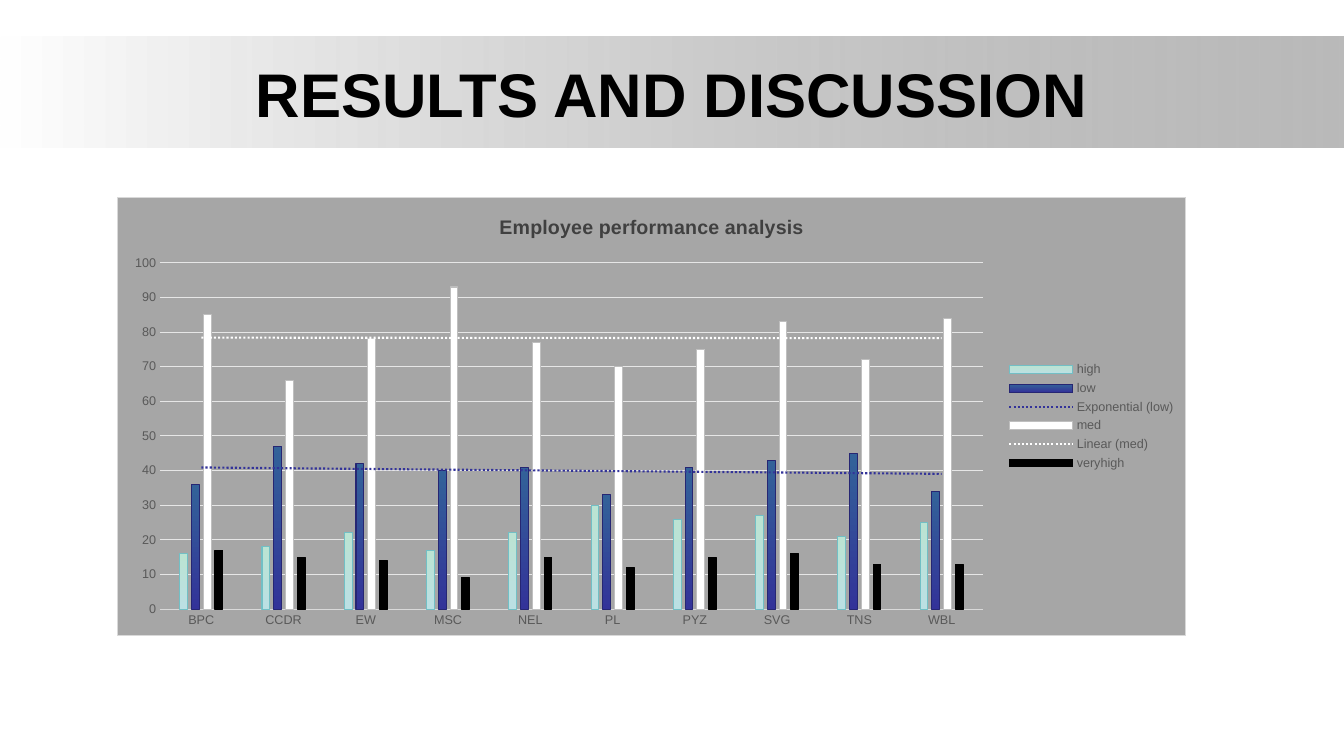
from dataclasses import dataclass
from typing import Optional

from lxml import etree
from pptx import Presentation
from pptx.chart.chart import Chart
from pptx.chart.data import CategoryChartData
from pptx.dml.color import RGBColor
from pptx.dml.fill import FillFormat
from pptx.dml.line import LineFormat
from pptx.enum.chart import XL_CHART_TYPE, XL_LEGEND_POSITION, XL_TICK_MARK
from pptx.enum.shapes import MSO_SHAPE
from pptx.enum.text import MSO_ANCHOR, PP_ALIGN
from pptx.oxml import parse_xml
from pptx.oxml.ns import nsdecls, qn
from pptx.slide import Slide
from pptx.text.text import Font
from pptx.util import Pt

COLUMNS = XL_CHART_TYPE.COLUMN_CLUSTERED
LEGEND_RIGHT = XL_LEGEND_POSITION.RIGHT
NO_TICK = XL_TICK_MARK.NONE
RECTANGLE = MSO_SHAPE.RECTANGLE
MIDDLE = MSO_ANCHOR.MIDDLE
CENTER = PP_ALIGN.CENTER

FONT_NAME = "Arial"
HAIRLINE = 0.75
COLORS = {
    "black": "000000",
    "white": "FFFFFF",
    "band": "808080",
    "chart": "A6A6A6",
    "border": "D9D9D9",
    "grid": "E6E6E6",
    "label": "595959",
    "chart_title": "404040",
    "mint": "BBE3D3",
    "pale_teal": "BBE0E3",
    "teal": "72BFC5",
    "steel": "336299",
    "indigo": "333399",
    "navy": "262673",
    "silver": "BFBFBF",
}


@dataclass
class Box:
    left: float
    top: float
    width: float
    height: float

    def lengths(self) -> tuple[Pt, Pt, Pt, Pt]:
        return Pt(self.left), Pt(self.top), Pt(self.width), Pt(self.height)


@dataclass
class Rating:
    name: str
    values: tuple[int, ...]
    fill: tuple[str, ...]
    line: str
    trend: Optional[str] = None


BAND = Box(0, 25.92, 960, 79.2)
TITLE = Box(48, 21.6, 864, 90)
CHART = Box(83.5, 140.4, 763.9, 313.9)
PLOT_AREA = {"x": 0.04, "y": 0.15, "w": 0.77, "h": 0.79}

DEPARTMENTS = ("BPC", "CCDR", "EW", "MSC", "NEL", "PL", "PYZ", "SVG", "TNS", "WBL")
RATINGS = (
    Rating("high", (16, 18, 22, 17, 22, 30, 26, 27, 21, 25), ("mint", "pale_teal"), "teal"),
    Rating("low", (36, 47, 42, 40, 41, 33, 41, 43, 45, 34), ("steel", "indigo"), "navy", "exp"),
    Rating("med", (85, 66, 78, 93, 77, 70, 75, 83, 72, 84), ("white",), "silver", "linear"),
    Rating("veryhigh", (17, 15, 14, 9, 15, 12, 15, 16, 13, 13), ("black",), "black"),
)


def rgb(color: str) -> RGBColor:
    return RGBColor.from_string(COLORS[color])


def set_font(font: Font, size: float, color: str, bold: bool = False) -> None:
    font.name = FONT_NAME
    font.size = Pt(size)
    font.bold = bold
    font.color.rgb = rgb(color)


def set_fill(fill: FillFormat, colors: tuple[str, ...], angle: float = 0) -> None:
    if len(colors) == 1:
        fill.solid()
        fill.fore_color.rgb = rgb(colors[0])
        return
    fill.gradient()
    fill.gradient_angle = angle
    for stop, color in zip(fill.gradient_stops, colors):
        stop.color.rgb = rgb(color)


def set_line(line: LineFormat, color: str) -> None:
    line.color.rgb = rgb(color)
    line.width = Pt(HAIRLINE)


def outline_xml(color: str, width: float, dash: str = "solid") -> str:
    return (
        f'<a:ln {nsdecls("a")} w="{Pt(width)}"><a:solidFill>'
        f'<a:srgbClr val="{COLORS[color]}"/></a:solidFill>'
        f'<a:prstDash val="{dash}"/></a:ln>'
    )


def add_band(slide: Slide) -> None:
    band = slide.shapes.add_shape(RECTANGLE, *BAND.lengths())
    band.shadow.inherit = False
    band.line.fill.background()
    set_fill(band.fill, ("white", "band"))
    end_color = list(band.element.spPr.iter(qn("a:srgbClr")))[-1]
    etree.SubElement(end_color, qn("a:alpha")).set("val", "54000")


def add_title(slide: Slide) -> None:
    text_frame = slide.shapes.add_textbox(*TITLE.lengths()).text_frame
    text_frame.word_wrap = True
    text_frame.vertical_anchor = MIDDLE
    text_frame.text = "RESULTS AND DISCUSSION"
    paragraph = text_frame.paragraphs[0]
    paragraph.alignment = CENTER
    run = paragraph.runs[0]
    set_font(run.font, 44, "black", bold=True)
    run.font._element.insert(0, parse_xml(outline_xml("white", HAIRLINE)))


def add_trendline(series_element: etree._Element, kind: str, color: str) -> None:
    trendline = parse_xml(
        f'<c:trendline {nsdecls("c")}><c:spPr>{outline_xml(color, 1.5, "sysDot")}</c:spPr>'
        f'<c:trendlineType val="{kind}"/><c:dispRSqr val="0"/><c:dispEq val="0"/></c:trendline>'
    )
    series_element.find(qn("c:cat")).addprevious(trendline)


def style_series(chart: Chart) -> None:
    plot = chart.plots[0]
    plot.gap_width = 500
    plot.overlap = -50
    plot.vary_by_categories = False
    for series, rating in zip(plot.series, RATINGS):
        set_fill(series.format.fill, rating.fill, angle=270)
        set_line(series.format.line, rating.line)
        if rating.trend:
            add_trendline(series._element, rating.trend, rating.fill[-1])


def style_axes(chart: Chart) -> None:
    for axis in (chart.category_axis, chart.value_axis):
        axis.major_tick_mark = NO_TICK
        axis.minor_tick_mark = NO_TICK
        set_font(axis.tick_labels.font, 9, "label")
    set_line(chart.category_axis.format.line, "border")
    value_axis = chart.value_axis
    value_axis.minimum_scale, value_axis.maximum_scale = 0, 100
    value_axis.major_unit = 10
    value_axis.format.line.fill.background()
    value_axis.has_major_gridlines = True
    set_line(value_axis.major_gridlines.format.line, "grid")


def style_frame(chart: Chart) -> None:
    # Background and border
    background = parse_xml(
        f'<c:spPr {nsdecls("c", "a")}><a:solidFill><a:srgbClr val="{COLORS["chart"]}"/>'
        f'</a:solidFill>{outline_xml("border", HAIRLINE)}</c:spPr>'
    )
    chart_element = chart._chartSpace.find(qn("c:chart"))
    chart_element.addnext(background)

    # Plot area position
    plot_area = chart_element.find(qn("c:plotArea"))
    for layout in plot_area.findall(qn("c:layout")):
        plot_area.remove(layout)
    modes = '<c:layoutTarget val="inner"/><c:xMode val="edge"/><c:yMode val="edge"/>'
    sizes = "".join(f'<c:{key} val="{value}"/>' for key, value in PLOT_AREA.items())
    plot_area.insert(0, parse_xml(
        f'<c:layout {nsdecls("c")}><c:manualLayout>{modes}{sizes}</c:manualLayout></c:layout>'
    ))


def add_performance_chart(slide: Slide) -> None:
    data = CategoryChartData()
    data.categories = DEPARTMENTS
    for rating in RATINGS:
        data.add_series(rating.name, rating.values)
    chart = slide.shapes.add_chart(COLUMNS, *CHART.lengths(), data).chart
    set_font(chart.font, 10, "black")
    chart.has_title = True
    title_frame = chart.chart_title.text_frame
    title_frame.text = "Employee performance analysis"
    set_font(title_frame.paragraphs[0].runs[0].font, 14, "chart_title", bold=True)
    chart.has_legend = True
    chart.legend.position = LEGEND_RIGHT
    chart.legend.include_in_layout = False
    set_font(chart.legend.font, 9, "label")
    style_series(chart)
    style_axes(chart)
    style_frame(chart)


def main() -> None:
    presentation = Presentation()
    presentation.slide_width, presentation.slide_height = Pt(960), Pt(540)
    slide = presentation.slides.add_slide(presentation.slide_layouts[6])
    add_band(slide)
    add_title(slide)
    add_performance_chart(slide)
    presentation.save("out.pptx")


if __name__ == "__main__":
    main()
